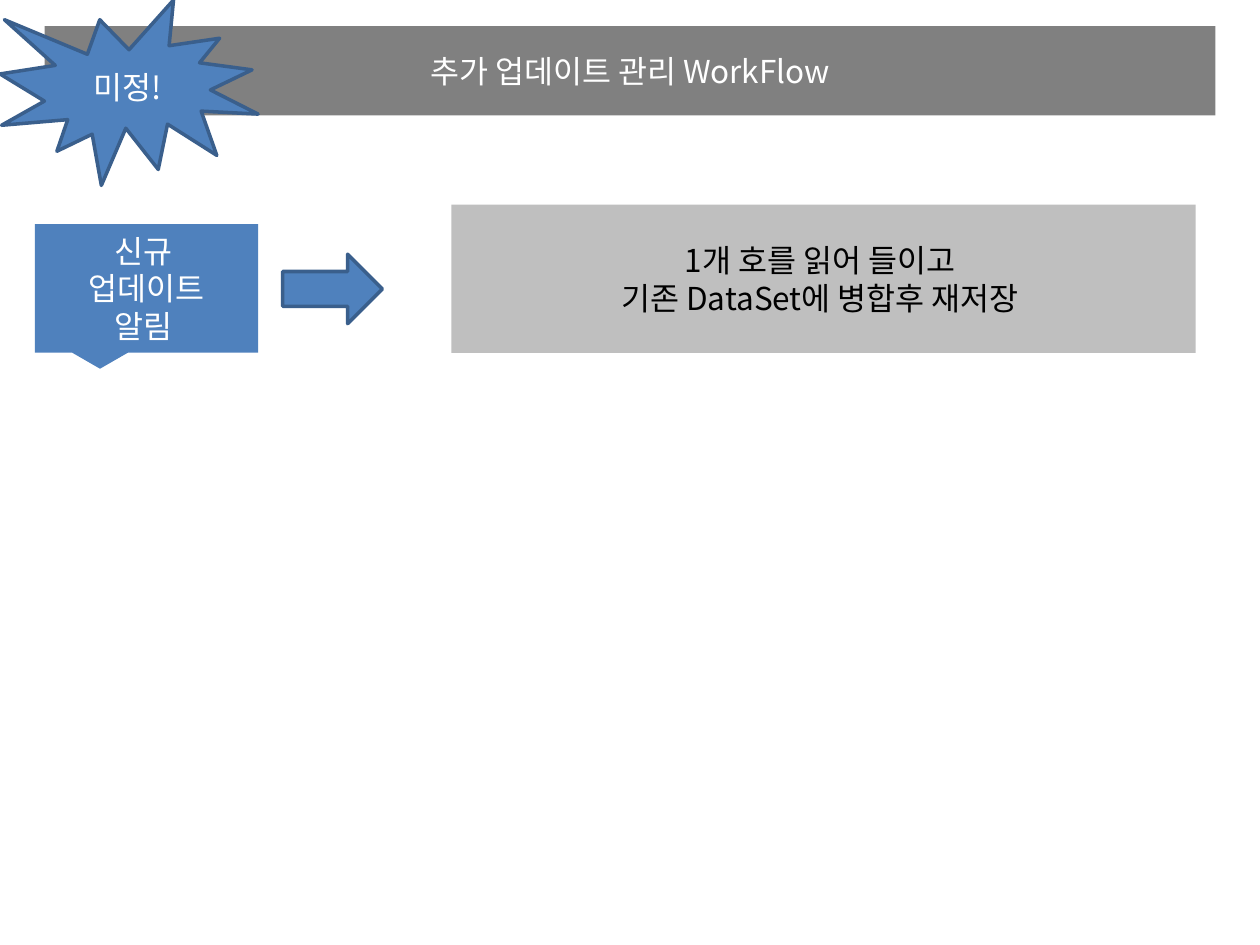
"""Build the slide on the workflow for handling additional updates."""
from dataclasses import dataclass

from lxml.etree import SubElement
from pptx import Presentation
from pptx.dml.color import RGBColor as Rgb
from pptx.enum.shapes import MSO_SHAPE as Preset
from pptx.enum.text import MSO_ANCHOR as Anchor, PP_ALIGN as Align
from pptx.oxml.ns import qn
from pptx.slide import Slide
from pptx.text.text import TextFrame
from pptx.util import Pt


@dataclass(frozen=True)
class Theme:
    font: str = "Noto Sans CJK KR"
    size: float = 18
    outline_width: float = 2
    header: str = "808080"
    panel: str = "BFBFBF"
    accent: str = "4F81BD"
    outline: str = "3A5F8C"
    light: str = "FFFFFF"
    dark: str = "000000"


@dataclass(frozen=True)
class Block:
    preset: Preset
    left: float
    top: float
    width: float
    height: float
    fill: str
    lines: tuple[str, ...] = ()
    ink: str = "FFFFFF"
    outlined: bool = False


THEME = Theme()

BLOCKS = (
    Block(Preset.RECTANGLE, 25.5, 15, 669, 51, THEME.header,
          ("추가 업데이트 관리 WorkFlow",), THEME.light),
    Block(Preset.EXPLOSION1, 0, 0, 147.5, 106, THEME.accent,
          ("미정!",), THEME.light, outlined=True),
    Block(Preset.RIGHT_ARROW, 161.5, 145.25, 57, 39.75, THEME.accent, outlined=True),
    Block(Preset.RECTANGULAR_CALLOUT, 20, 128, 127.5, 73.5, THEME.accent,
          ("신규 ", "업데이트", "알림 "), THEME.light),
    Block(Preset.RECTANGLE, 258, 117, 425.25, 84.75, THEME.panel,
          ("1개 호를 읽어 들이고 ", "기존 DataSet에 병합후 재저장 "), THEME.dark),
)


def write_lines(frame: TextFrame, lines: tuple[str, ...], ink: str) -> None:
    """Write centred paragraphs in the theme font."""
    frame.word_wrap = True
    frame.vertical_anchor = Anchor.MIDDLE
    frame.text = "\n".join(lines)
    for paragraph in frame.paragraphs:
        paragraph.alignment = Align.CENTER
        font = paragraph.font
        font.name, font.size = THEME.font, Pt(THEME.size)
        font.color.rgb = Rgb.from_string(ink)
        defaults = paragraph._p.pPr.find(qn("a:defRPr"))
        SubElement(defaults, qn("a:ea"), typeface=THEME.font)


def draw_block(slide: Slide, block: Block) -> None:
    """Draw one preset shape with its text."""
    shape = slide.shapes.add_shape(
        block.preset, Pt(block.left), Pt(block.top), Pt(block.width), Pt(block.height))
    shape.shadow.inherit = False
    shape.fill.solid()
    shape.fill.fore_color.rgb = Rgb.from_string(block.fill)
    if block.outlined:
        shape.line.color.rgb = Rgb.from_string(THEME.outline)
        shape.line.width = Pt(THEME.outline_width)
    else:
        shape.line.fill.background()
    if block.lines:
        write_lines(shape.text_frame, block.lines, block.ink)


def main() -> None:
    """Create and save the presentation."""
    deck = Presentation()
    deck.slide_width, deck.slide_height = Pt(720), Pt(540)
    slide = deck.slides.add_slide(deck.slide_layouts[6])
    for block in BLOCKS:
        draw_block(slide, block)
    deck.save("out.pptx")


main()
